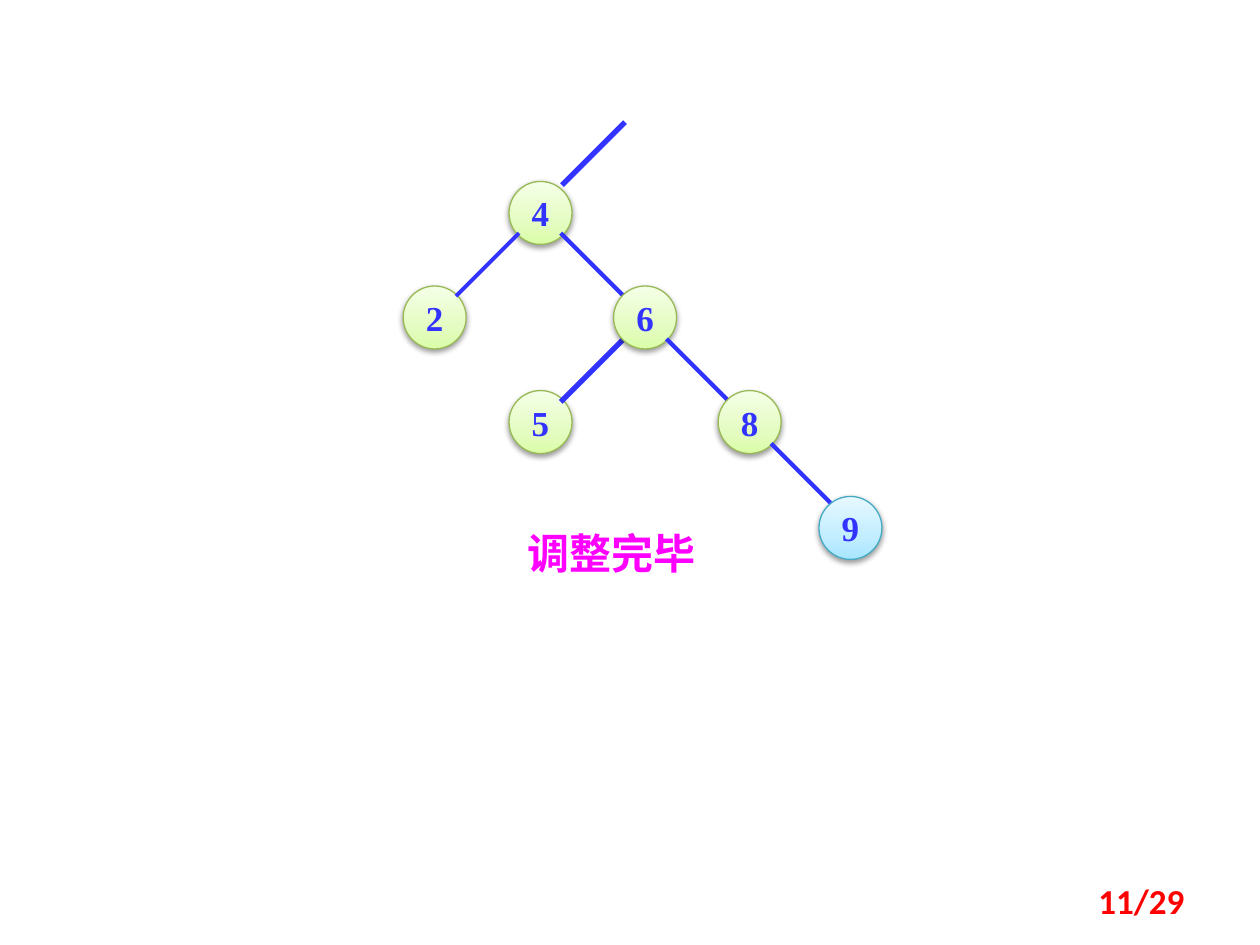
from lxml import etree
from pptx import Presentation, oxml, util as u
from pptx.dml.color import RGBColor
from pptx.enum import shapes, text
from pptx.oxml.ns import nsdecls, qn

BLUE = "3333FF"
DIAMETER = 0.5


def color(hex_code):
    return RGBColor.from_string(hex_code)


def add_run(frame, words, size, font, hex_code, align):
    paragraph = frame.paragraphs[0]
    paragraph.alignment = align
    run = paragraph.add_run()
    run.text = words
    run.font.size = u.Pt(size)
    run.font.bold = True
    run.font.color.rgb = color(hex_code)
    run.font.name = font
    east_asian = etree.SubElement(run.font._element, qn("a:ea"))
    east_asian.set("typeface", font)


deck = Presentation()
deck.slide_width, deck.slide_height = u.Inches(10), u.Inches(7.5)
slide = deck.slides.add_slide(deck.slide_layouts[6])

# Caption
caption = slide.shapes.add_textbox(
    u.Inches(3.91), u.Inches(4.14), u.Inches(1.89), u.Inches(0.5)).text_frame
caption.word_wrap = True
caption.auto_size = text.MSO_AUTO_SIZE.SHAPE_TO_FIT_TEXT
add_run(caption, "调整完毕", 24, "Noto Sans CJK SC", "FF00FF", text.PP_ALIGN.CENTER)
spacing = etree.SubElement(caption.paragraphs[0]._p.get_or_add_pPr(), qn("a:spcBef"))
etree.SubElement(spacing, qn("a:spcPct")).set("val", "50000")

# Gradient stops from bottom to top, then outline
GREEN = ("DAFDA7", "E4FCC2", "F5FFE7", "98B955")
CYAN = ("A7E6FF", "C1EDFF", "E7F8FF", "46AAC5")

# Key, left, top, palette; branch from parent: start, horizontal and vertical run, weight
tree = [
    ("4", 4.04, 1.44, GREEN, (4.96, 0.97), (-0.5, 0.5), 3),
    ("2", 3.2, 2.27, GREEN, (4.12, 1.85), (-0.5, 0.5), 2.25),
    ("5", 4.04, 3.1, GREEN, (4.95, 2.69), (-0.5, 0.5), 3),
    ("6", 4.87, 2.27, GREEN, (4.45, 1.85), (0.5, 0.5), 2.5),
    ("8", 5.7, 3.1, GREEN, (5.29, 2.69), (0.5, 0.5), 2.5),
    ("9", 6.5, 3.94, CYAN, (6.12, 3.52), (0.47, 0.47), 2.5),
]
for key, left, top, palette, (x, y), (dx, dy), weight in tree:
    # Node
    node = slide.shapes.add_shape(
        shapes.MSO_SHAPE.OVAL, u.Inches(left), u.Inches(top),
        u.Inches(DIAMETER), u.Inches(DIAMETER))
    node.fill.background()
    node.line.color.rgb = color(palette[3])
    node.line.width = u.Pt(0.75)
    stops = "".join(
        f'<a:gs pos="{pos}"><a:srgbClr val="{tint}"/></a:gs>'
        for pos, tint in zip((0, 35000, 100000), palette))
    properties = node._element.spPr
    properties.replace(properties.find(qn("a:noFill")), oxml.parse_xml(
        f'<a:gradFill {nsdecls("a")} rotWithShape="1"><a:gsLst>{stops}</a:gsLst>'
        '<a:lin ang="16200000" scaled="0"/></a:gradFill>'))
    properties.append(oxml.parse_xml(
        f'<a:effectLst {nsdecls("a")}><a:outerShdw blurRad="40000" dist="20000" '
        'dir="5400000" rotWithShape="0"><a:srgbClr val="000000">'
        '<a:alpha val="38000"/></a:srgbClr></a:outerShdw></a:effectLst>'))
    label = node.text_frame
    label.word_wrap = False
    label.vertical_anchor = text.MSO_ANCHOR.MIDDLE
    add_run(label, key, 20, "Times New Roman", BLUE, text.PP_ALIGN.CENTER)

    # Branch to the parent
    branch = slide.shapes.add_connector(
        shapes.MSO_CONNECTOR.STRAIGHT, u.Inches(x), u.Inches(y),
        u.Inches(x + dx), u.Inches(y + dy))
    branch.line.color.rgb = color(BLUE)
    branch.line.width = u.Pt(weight)
    etree.SubElement(branch._element.spPr, qn("a:effectLst"))
    if key in "68":  # inner nodes cover the end of their branch
        node._element.addprevious(branch._element)

# Page number
page = slide.shapes.add_textbox(
    u.Inches(7.17), u.Inches(6.95), u.Inches(2.33), u.Inches(0.4)).text_frame
page.word_wrap = True
page.vertical_anchor = text.MSO_ANCHOR.MIDDLE
add_run(page, "11/29", 20, "Calibri", "FF0000", text.PP_ALIGN.RIGHT)

deck.save("out.pptx")
